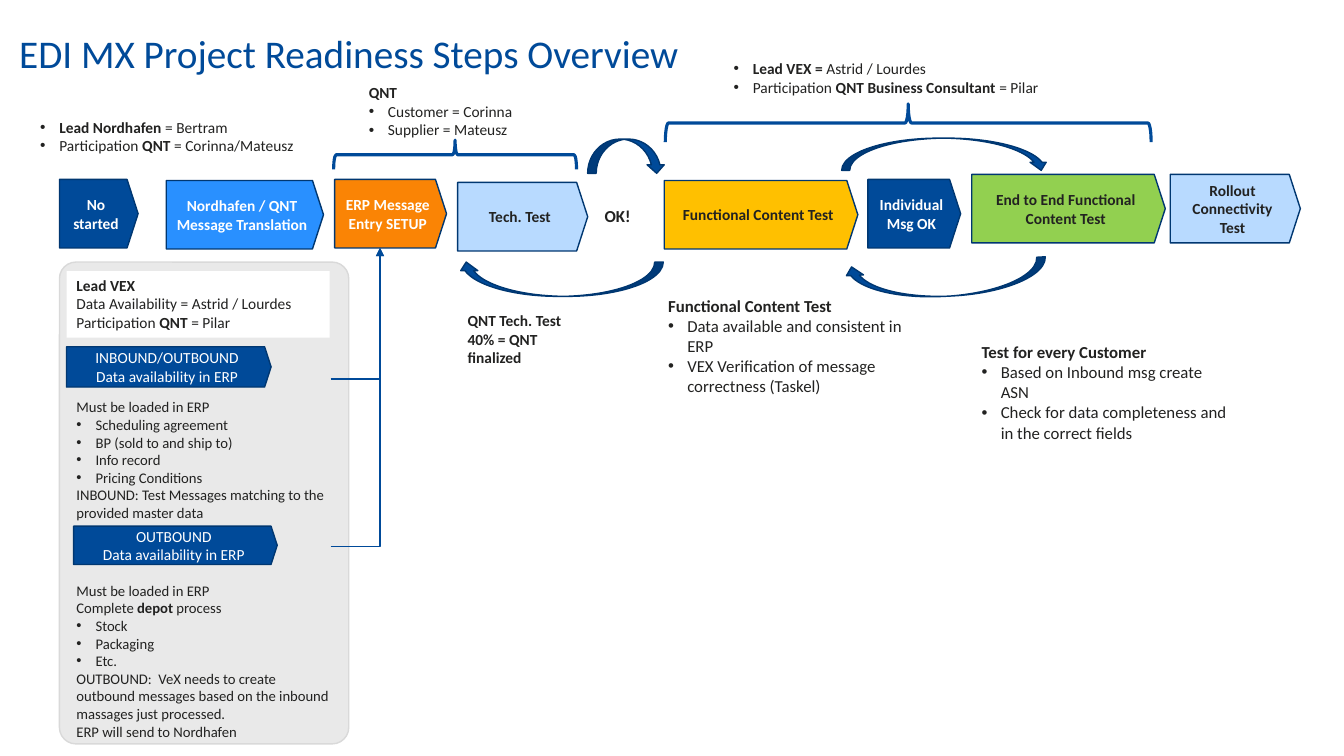
"""Builds the EDI project readiness overview slide on a grid of tenth-inch columns and rows."""
import pptx
import pptx.dml.color
import pptx.enum.shapes
import pptx.enum.text
import pptx.oxml.ns
import pptx.util
from lxml import etree

SHAPE = pptx.enum.shapes.MSO_SHAPE
ALIGN = pptx.enum.text.PP_ALIGN
ANCHOR = pptx.enum.text.MSO_ANCHOR
FIT = pptx.enum.text.MSO_AUTO_SIZE
qn = pptx.oxml.ns.qn

FONT = "Calibri"
NAVY, EDGE, INK, WHITE = "004A99", "003771", "222221", "FFFFFF"
PALE = "B8DAFF"

STEPS = [
    (5.9, 17.8, 7.8, "No started", NAVY, WHITE),
    (16.5, 17.9, 15.6, "Nordhafen / QNT Message Translation", "2990FF", WHITE),
    (33.2, 17.8, 11.1, "ERP Message Entry SETUP", "FA8405", WHITE),
    (45.4, 18.1, 12.9, "Tech. Test", PALE, INK),
    (65.9, 17.9, 19.2, "Functional Content Test", "FFC000", INK),
    (86.1, 17.8, 9.2, "Individual Msg OK", NAVY, WHITE),
    (96.4, 17.3, 19.2, "End to End Functional Content Test", "92D050", INK),
    (116.1, 17.3, 12.9, "Rollout Connectivity Test", PALE, INK),
]

DATA_TAGS = [
    ((6.6, 34.4, 20.3, 4), "INBOUND/OUTBOUND"),
    ((7.3, 52.2, 20.2, 3.8), "OUTBOUND"),
]

NOTES = [
    ((59, 19.9, 5.3, 3), 12, ["**OK!**"]),
    ((3, 11.2, 31.6, 4.7), 11, [
        "• **Lead Nordhafen** = Bertram",
        "• Participation **QNT** = Corinna/Mateusz"]),
    ((35.6, 7.8, 24.1, 6.6), 11, [
        "**QNT**", "• Customer = Corinna", "• Supplier = Mateusz"]),
    ((71.8, 5.4, 35.6, 4.7), 11, [
        "• **Lead VEX = **Astrid / Lourdes",
        "• Participation **QNT Business Consultant **= Pilar"]),
    ((6.6, 39, 27.9, 15.1), 10.5, [
        "Must be loaded in ERP", "• Scheduling agreement",
        "• BP (sold to and ship to)", "• Info record", "• Pricing Conditions",
        "INBOUND: Test Messages matching to the provided master data"]),
    ((6.6, 57.2, 27.9, 16.9), 10.5, [
        "Must be loaded in ERP", "Complete **depot **process",
        "• Stock", "• Packaging", "• Etc.",
        "OUTBOUND:  VeX needs to create outbound messages based on the "
        "inbound massages just processed.",
        "ERP will send to Nordhafen"]),
    ((65.3, 28.8, 27, 11.1), 12, [
        "**Functional Content Test**",
        "• Data available and consistent in ERP",
        "• VEX Verification of message correctness (Taskel)"]),
    ((96.4, 33.4, 27, 13.1), 12, [
        "**Test for every Customer**",
        "• Based on Inbound msg create ASN",
        "• Check for data completeness and in the correct fields"]),
    ((45.4, 30.4, 13.5, 6.6), 11, ["**QNT Tech. Test 40% = QNT finalized**"]),
]

LOOPS = [
    ((45.4, 26, 20.4, 3.4), 180),
    ((58.3, 13.8, 7.7, 3.4), 0),
    ((83.5, 13.7, 20.6, 3.2), 0),
    ((83.7, 26, 20.1, 3.4), 177),
]

BRACES = [(43.7, 3.3, 2.9, 24.1), (88.2, -11.9, 3.8, 48.2)]


def rgb(value):
    """Turn a hex string into a colour."""
    return pptx.dml.color.RGBColor.from_string(value)


def grid(*cells):
    """Turn columns and rows into lengths."""
    return [pptx.util.Inches(cell / 10) for cell in cells]


def add_outline(s, kind, at, fill=None, line=None, width=1, adj=None, turn=0):
    """Add a preset shape with its fill and line."""
    sp = s.shapes.add_shape(kind, *grid(*at))
    sp.shadow.inherit = False
    sp.rotation = turn
    if adj is not None:
        sp.adjustments[0] = adj
    if fill:
        sp.fill.solid()
        sp.fill.fore_color.rgb = rgb(fill)
    else:
        sp.fill.background()
    if line:
        sp.line.color.rgb = rgb(line)
        sp.line.width = pptx.util.Pt(width)
    else:
        sp.line.fill.background()
    return sp


def add_bullet(p):
    """Give a paragraph a hanging round bullet."""
    pPr = p._p.get_or_add_pPr()
    indent = pptx.util.Inches(0.19)
    pPr.set("marL", str(indent))
    pPr.set("indent", str(-indent))
    etree.SubElement(pPr, qn("a:buFont")).set("typeface", "Arial")
    etree.SubElement(pPr, qn("a:buChar")).set("char", "•")


def write(sp, lines, size, color, align=ALIGN.LEFT, anchor=ANCHOR.TOP):
    """Write lines where ** toggles bold and a leading dot makes a bullet."""
    tf = sp.text_frame
    tf.word_wrap = True
    tf.vertical_anchor = anchor
    for i, line in enumerate(lines):
        p = tf.add_paragraph() if i else tf.paragraphs[0]
        p.alignment = align
        if line.startswith("• "):
            add_bullet(p)
        for j, part in enumerate(line.removeprefix("• ").split("**")):
            if part:
                r = p.add_run()
                r.text = part
                r.font.name = FONT
                r.font.size = pptx.util.Pt(size)
                r.font.bold = j % 2 == 1
                r.font.color.rgb = rgb(color)
    return tf


def add_note(s, at, size, lines):
    """Add a text box that grows with its lines."""
    tf = write(s.shapes.add_textbox(*grid(*at)), lines, size, INK)
    tf.auto_size = FIT.SHAPE_TO_FIT_TEXT


def add_pentagon(s, at, lines, fill, color):
    """Add a process step pointing right."""
    sp = add_outline(s, SHAPE.PENTAGON, at, fill, EDGE, adj=0.161)
    write(sp, lines, 11, color, ALIGN.CENTER, ANCHOR.MIDDLE)


def add_feed(s, row):
    """Add a one-bend arrow from the data panel up to the setup step."""
    cxn = s.shapes.add_connector(
        pptx.enum.shapes.MSO_CONNECTOR.ELBOW, *grid(32.8, row, 37.7, 24.6))
    cxn.line.color.rgb = rgb(NAVY)
    cxn.line.width = pptx.util.Pt(1)
    spPr = cxn._element.spPr
    spPr.find(qn("a:prstGeom")).set("prst", "bentConnector2")
    etree.SubElement(spPr.find(qn("a:ln")), qn("a:tailEnd")).set("type", "triangle")
    etree.SubElement(spPr, qn("a:effectLst"))


def add_title(s, text):
    """Add the slide title without insets."""
    sp = s.shapes.add_textbox(*grid(1.9, 1.2, 69.8, 8.6))
    tf = write(sp, [text], 28, NAVY, anchor=ANCHOR.MIDDLE)
    tf.margin_left = tf.margin_right = tf.margin_top = tf.margin_bottom = 0
    tf.paragraphs[0].line_spacing = 0.9


def main():
    """Build and save the slide."""
    prs = pptx.Presentation()
    prs.slide_width, prs.slide_height = grid(133.33, 75)
    s = prs.slides.add_slide(prs.slide_layouts[6])
    add_outline(s, SHAPE.ROUNDED_RECTANGLE, (5.9, 26, 28.7, 47.8),
                "E9E9E9", "D9D9D9", adj=0.057)
    add_title(s, "EDI MX Project Readiness Steps Overview")
    for left, top, width, label, fill, color in STEPS:
        add_pentagon(s, (left, top, width, 6.8), [f"**{label}**"], fill, color)
    for at, label in DATA_TAGS:
        add_pentagon(s, at, [label, "Data availability in ERP"], NAVY, WHITE)
    lead = add_outline(s, SHAPE.RECTANGLE, (6.6, 26.9, 26.1, 6.6), WHITE)
    write(lead, ["**Lead VEX**", "Data Availability = Astrid / Lourdes",
                 "Participation **QNT **= Pilar"], 11, INK)
    for at, turn in LOOPS:
        add_outline(s, SHAPE.CURVED_DOWN_ARROW, at, NAVY, EDGE, turn=turn)
    for at in BRACES:
        add_outline(s, SHAPE.RIGHT_BRACE, at, line=NAVY, width=2.25, turn=270)
    for row in (37.6, 54.2):
        add_feed(s, row)
    for note in NOTES:
        add_note(s, *note)
    prs.save("out.pptx")


if __name__ == "__main__":
    main()
